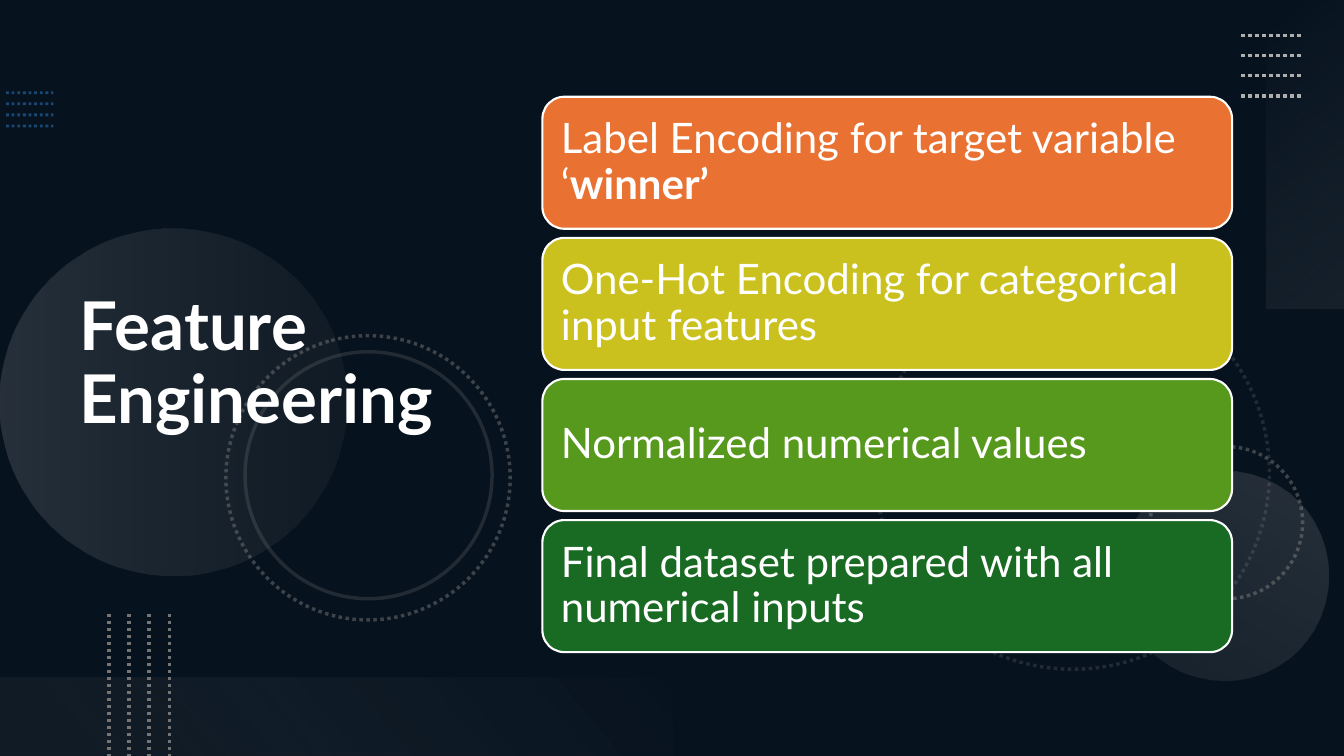
from lxml.etree import SubElement
from pptx import Presentation
from pptx.dml.color import RGBColor
from pptx.enum.dml import MSO_LINE
from pptx.enum.shapes import MSO_CONNECTOR, MSO_SHAPE as Preset
from pptx.enum.text import MSO_ANCHOR, PP_ALIGN
from pptx.oxml.ns import qn
from pptx.util import Inches, Pt

NAVY = RGBColor(0x0E, 0x28, 0x41)
BLACK = RGBColor(0x00, 0x00, 0x00)
WHITE = RGBColor(0xFF, 0xFF, 0xFF)
BLUE = RGBColor(0x2D, 0x7F, 0xCF)
GRAY = RGBColor(0x74, 0x74, 0x74)
SILVER = RGBColor(0xAE, 0xAE, 0xAE)
MIST = RGBColor(0xF6, 0xF6, 0xF6)
PEARL = RGBColor(0xF1, 0xF1, 0xF1)
ORANGE = RGBColor(0xE9, 0x71, 0x32)
YELLOW = RGBColor(0xCB, 0xC1, 0x1E)
GREEN = RGBColor(0x56, 0x99, 0x1D)
FOREST = RGBColor(0x19, 0x6B, 0x24)

COLUMNS, ROWS = 133.3, 75


class Canvas:
    font = "Lato"

    def __init__(self, presentation):
        self.column = presentation.slide_width / COLUMNS
        self.row = presentation.slide_height / ROWS
        self.slide = presentation.slides.add_slide(presentation.slide_layouts[6])
        background = self.slide.background.fill
        background.solid()
        background.fore_color.rgb = NAVY

    def place(self, left, top, width, height):
        return (round(left * self.column), round(top * self.row),
                round(width * self.column), round(height * self.row))

    def fade(self, shape, *opacities):
        colors = shape._element.spPr.iter(qn("a:srgbClr"))
        for color, opacity in zip(list(colors), opacities):
            SubElement(color, qn("a:alpha"), val=str(opacity * 1000))

    def stroke(self, shape, color, width, dotted=False):
        shape.line.color.rgb = color
        shape.line.width = Pt(width)
        if dotted:
            shape.line.dash_style = MSO_LINE.ROUND_DOT

    def shape(self, preset, box, fill=None, rotation=0):
        shape = self.slide.shapes.add_shape(preset, *self.place(*box))
        shape.shadow.inherit = False
        shape.rotation = rotation
        shape.line.fill.background()
        if fill is None:
            shape.fill.background()
        else:
            shape.fill.solid()
            shape.fill.fore_color.rgb = fill
        return shape

    def gradient(self, preset, box, rotation, angle, stops):
        shape = self.shape(preset, box, rotation=rotation)
        shape.fill.gradient()
        shape.fill.gradient_angle = 360 - angle
        for stop, (position, color, _) in zip(shape.fill.gradient_stops, stops):
            stop.position = position
            stop.color.rgb = color
        self.fade(shape, *(opacity for _, _, opacity in stops))

    def ring(self, left, top, size, rotation, opacity, dotted=True):
        ring = self.shape(Preset.OVAL, (left, top, size, size), rotation=rotation)
        self.stroke(ring, GRAY, 2.5, dotted)
        self.fade(ring, opacity)

    def dotted_lines(self, start, end, step, color, width, opacity=100):
        for index in range(4):
            shift_x, shift_y = step[0] * index, step[1] * index
            points = self.place(start[0] + shift_x, start[1] + shift_y,
                                end[0] + shift_x, end[1] + shift_y)
            line = self.slide.shapes.add_connector(MSO_CONNECTOR.STRAIGHT, *points)
            self.stroke(line, color, width, True)
            self.fade(line, opacity)
            SubElement(line._element.spPr, qn("a:effectLst"))

    def add_text(self, shape, runs, size, bold=None):
        frame = shape.text_frame
        frame.word_wrap = True
        frame.vertical_anchor = MSO_ANCHOR.MIDDLE
        paragraph = frame.paragraphs[0]
        paragraph.alignment = PP_ALIGN.LEFT
        paragraph.line_spacing = 0.9
        paragraph.font.name = self.font
        paragraph.font.size = Pt(size)
        paragraph.font.bold = bold
        paragraph.font.color.rgb = WHITE
        for text, emphasis in runs:
            run = paragraph.add_run()
            run.text = text
            if emphasis:
                run.font.bold = True
        return frame

    def title(self, box, text):
        shape = self.slide.shapes.add_textbox(*self.place(*box))
        self.add_text(shape, [(text, False)], 48, True)

    def card(self, box, fill, runs):
        card = self.shape(Preset.ROUNDED_RECTANGLE, box, fill)
        self.stroke(card, WHITE, 1.5)
        frame = self.add_text(card, runs, 30)
        frame.margin_left = frame.margin_right = Inches(0.12)
        frame.margin_top = frame.margin_bottom = Inches(0.12)


def main():
    presentation = Presentation()
    presentation.slide_width = Inches(13.33)
    presentation.slide_height = Inches(7.5)
    canvas = Canvas(presentation)

    shade = canvas.shape(Preset.RECTANGLE, (0, 0, COLUMNS, ROWS), BLACK)
    canvas.fade(shade, 53)
    canvas.dotted_lines((0.6, 9.2), (5.3, 9.2), (0, 1.1), BLUE, 2, 50)

    canvas.ring(86.9, 27.4, 39, 75, 25)
    canvas.ring(114.1, 44.3, 15.1, 270, 50)
    canvas.gradient(Preset.OVAL, (0, 22.7, 34.4, 34.4), 270, 90,
                    [(0, SILVER, 20), (1, GRAY, 10)])
    canvas.gradient(Preset.OVAL, (111, 46.7, 20.8, 20.8), 210, 90,
                    [(0, SILVER, 10), (1, SILVER, 20)])
    canvas.ring(22.4, 33.3, 28.2, 75, 50)
    canvas.ring(24.3, 34.9, 24.5, 75, 25, dotted=False)

    canvas.gradient(Preset.RECTANGLE, (114.2, 11.4, 30.6, 7.8), 270, 140,
                    [(0, MIST, 0), (1, SILVER, 10)])
    canvas.dotted_lines((123.1, 3.5), (129.1, 3.5), (0, 2), SILVER, 2.5)
    canvas.gradient(Preset.RECTANGLE, (0, 67.2, 66.7, 7.8), 180, 140,
                    [(0.1, GRAY, 10), (1, PEARL, 0)])
    canvas.dotted_lines((10.8, 60.9), (10.8, ROWS), (2, 0), GRAY, 2.5)

    canvas.title((6.9, 5.4, 45.9, 61.7), "Feature Engineering")
    cards = [
        (ORANGE, [("Label Encoding for target variable ‘", False), ("winner’", True)]),
        (YELLOW, [("One-Hot Encoding for categorical input features", False)]),
        (GREEN, [("Normalized numerical values", False)]),
        (FOREST, [("Final dataset prepared with all numerical inputs", False)]),
    ]
    for index, (fill, runs) in enumerate(cards):
        canvas.card((53.8, 9.6 + 14 * index, 68.4, 13.1), fill, runs)

    presentation.save("out.pptx")


if __name__ == "__main__":
    main()
